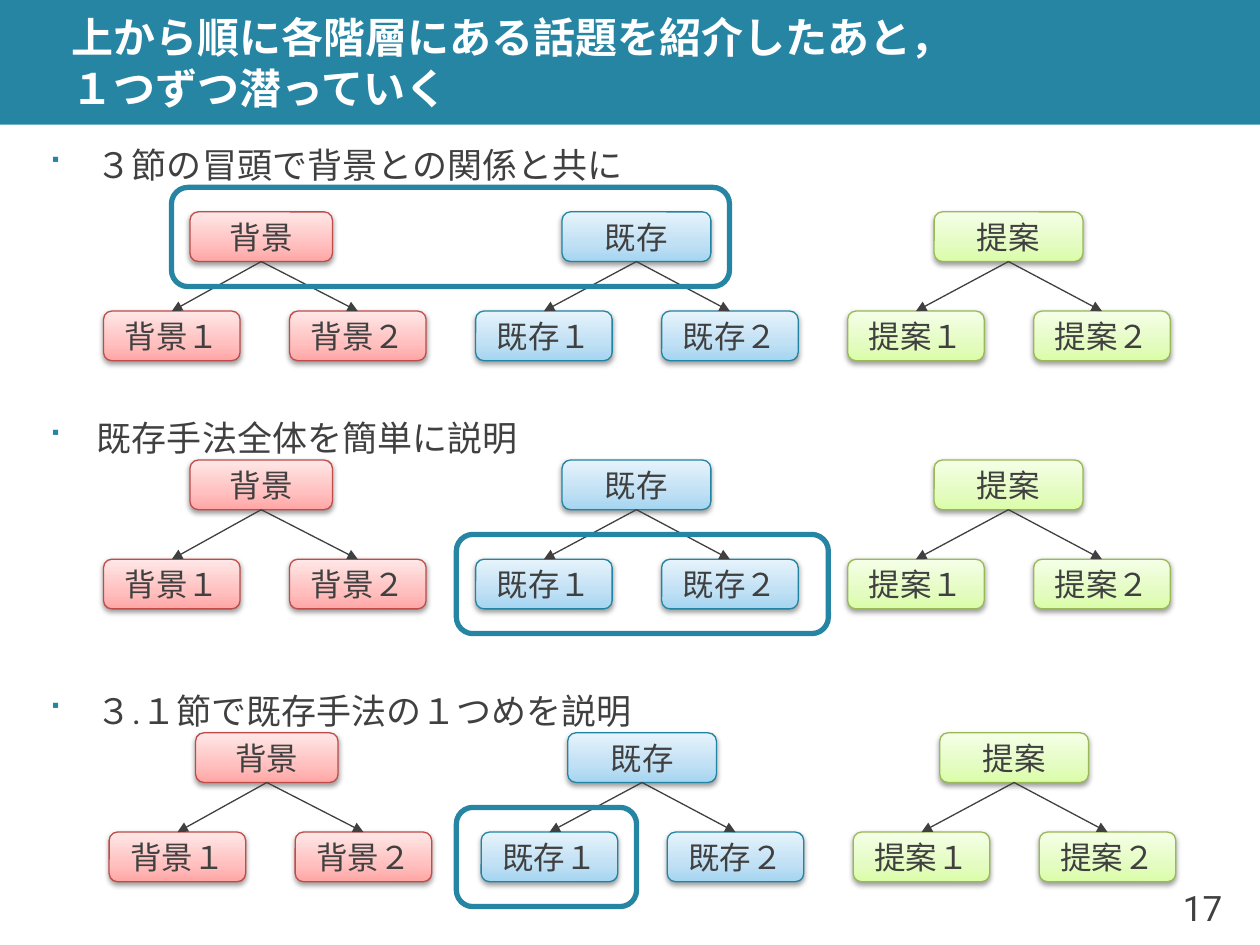
from copy import deepcopy
from lxml.etree import SubElement
from pptx import Presentation
from pptx.dml.color import RGBColor
from pptx.enum.shapes import MSO_CONNECTOR, MSO_SHAPE
from pptx.enum.text import MSO_ANCHOR, MSO_AUTO_SIZE, PP_ALIGN
from pptx.oxml.ns import qn
from pptx.util import Pt

HUES = {
    "teal": "2585A3", "ink": "404040", "white": "FFFFFF", "black": "000000",
    "背景": ("FFA6A5", "FFC0BF", "FFE7E7", "BF4C48"),
    "既存": ("A4D5F1", "C0E0F4", "E6F3FC", "2184A2"),
    "提案": ("DAFDA7", "E4FCC2", "F5FFE7", "98B955"),
}
TOPICS = (("背景", 81.4), ("既存", 85), ("提案", 85))
STEP, DROP, HIGH, WIDE = 106.3, 56.7, 28.35, 78


def rgb(hue):
    return RGBColor.from_string(hue)


class Page:
    """Holds the style and the current slide, and draws each kind of element."""

    def __init__(self, deck):
        self.slide = deck.slides.add_slide(deck.slide_layouts[5])
        self.shapes = self.slide.shapes
        self.sans, self.label = "Roboto", "Noto Sans CJK JP"

    def letter(self, shape, text, size, font, hue="ink", align=PP_ALIGN.LEFT, bold=False):
        frame = shape.text_frame
        frame.text = text
        frame.word_wrap = True
        frame.auto_size = MSO_AUTO_SIZE.NONE
        frame.vertical_anchor = MSO_ANCHOR.MIDDLE
        para = frame.paragraphs[0]
        para.alignment = align
        for run in para.runs:
            run.font.size = Pt(size)
            run.font.bold = bold
            run.font.name = font
            run.font.color.rgb = rgb(HUES[hue])
            SubElement(run.font._element, qn("a:ea"), typeface=font)
        return para

    def shape(self, kind, x, y, w, h):
        item = self.shapes.add_shape(kind, Pt(x), Pt(y), Pt(w), Pt(h))
        item.shadow.inherit = False
        return item

    def title(self, text):
        band = self.shape(MSO_SHAPE.RECTANGLE, 0, 0, 720, 71.3)
        band.fill.solid()
        band.fill.fore_color.rgb = rgb(HUES["teal"])
        band.line.fill.background()
        head = self.shapes.title
        head.left, head.top, head.width, head.height = Pt(33.8), Pt(0), Pt(686.2), Pt(71.3)
        self.letter(head, text, 24, self.sans, "white", bold=True)
        head.text_frame.margin_top = head.text_frame.margin_bottom = 0
        band.element.addnext(head.element)

    def text(self, text, x, y, w, h, size, align=PP_ALIGN.LEFT):
        box = self.shapes.add_textbox(Pt(x), Pt(y), Pt(w), Pt(h))
        return self.letter(box, text, size, self.sans, align=align)

    def bullet(self, text, y):
        para = self.text(text, 20.2, y, 652.3, 42.5, 20)
        para.line_spacing = 1.1
        para.space_before, para.space_after = Pt(24), Pt(6)
        props = para._p.get_or_add_pPr()
        props.set("marL", str(Pt(28.1)))
        props.set("indent", str(Pt(-28.1)))
        tint = SubElement(props, qn("a:buClr"))
        SubElement(tint, qn("a:srgbClr"), val=HUES["teal"])
        SubElement(props, qn("a:buFont"), typeface="Wingdings")
        SubElement(props, qn("a:buChar"), char="■")

    def node(self, text, hues, x, y, w):
        box = self.shape(MSO_SHAPE.ROUNDED_RECTANGLE, x, y, w, HIGH)
        box.fill.gradient()
        box.fill.gradient_angle = 90
        stops = box.element.xpath(".//a:gsLst")[0]
        stops.append(deepcopy(stops[-1]))
        for stop, hue, place in zip(box.fill.gradient_stops, hues, (0, 0.35, 1)):
            stop.color.rgb = rgb(hue)
            stop.position = place
        box.line.color.rgb = rgb(hues[-1])
        box.line.width = Pt(0.75)
        glow = box.element.spPr.find(qn("a:effectLst"))
        cast = SubElement(glow, qn("a:outerShdw"), blurRad=str(Pt(3.1)), dist=str(Pt(1.6)),
                          dir="5400000", rotWithShape="0")
        shade = SubElement(cast, qn("a:srgbClr"), val=HUES["black"])
        SubElement(shade, qn("a:alpha"), val="38000")
        self.letter(box, text, 18, self.label, align=PP_ALIGN.CENTER)
        frame = box.text_frame
        frame.margin_left = frame.margin_right = 0

    def arrow(self, x, y, to_x, to_y):
        link = self.shapes.add_connector(MSO_CONNECTOR.STRAIGHT, Pt(x), Pt(y), Pt(to_x), Pt(to_y))
        link.line.color.rgb = rgb(HUES["ink"])
        link.line.width = Pt(0.75)
        SubElement(link.element.spPr.find(qn("a:ln")), qn("a:tailEnd"), type="triangle")
        SubElement(link.element.spPr, qn("a:effectLst"))

    def tree(self, x, y):
        for slot, (name, wide) in enumerate(TOPICS):
            left = x + slot * 2 * STEP
            top = left + 49.4
            self.node(name, HUES[name], top, y, wide)
            for nth, mark in enumerate("１２"):
                kid = left + nth * STEP
                self.node(name + mark, HUES[name], kid, y + DROP, WIDE)
                self.arrow(top + wide / 2, y + HIGH, kid + WIDE / 2, y + DROP)

    def frame(self, x, y, w):
        ring = self.shape(MSO_SHAPE.ROUNDED_RECTANGLE, x, y, w, 56.7)
        ring.fill.background()
        ring.line.color.rgb = rgb(HUES["teal"])
        ring.line.width = Pt(3)


deck = Presentation()
deck.slide_width, deck.slide_height = Pt(720), Pt(540)
page = Page(deck)
page.title("上から順に各階層にある話題を紹介したあと，\v１つずつ潜っていく")
ROWS = (
    ("３節の冒頭で背景との関係と共に", 59.2, 121.1, (98, 107.1, 318.9)),
    ("既存手法全体を簡単に説明", 59.2, 262.9, (260.8, 305.4, 212.6)),
    ("３.１節で既存手法の１つめを説明", 62.4, 418.8, (260.8, 461.4, 103)),
)
for row, (text, x, y, ring) in enumerate(ROWS):
    page.tree(x, y)
    page.frame(*ring)
    page.bullet(text, 71.3 + row * 156)
page.text("17", 657.4, 496.8, 48.2, 43.2, 20, PP_ALIGN.RIGHT)
deck.save("out.pptx")
